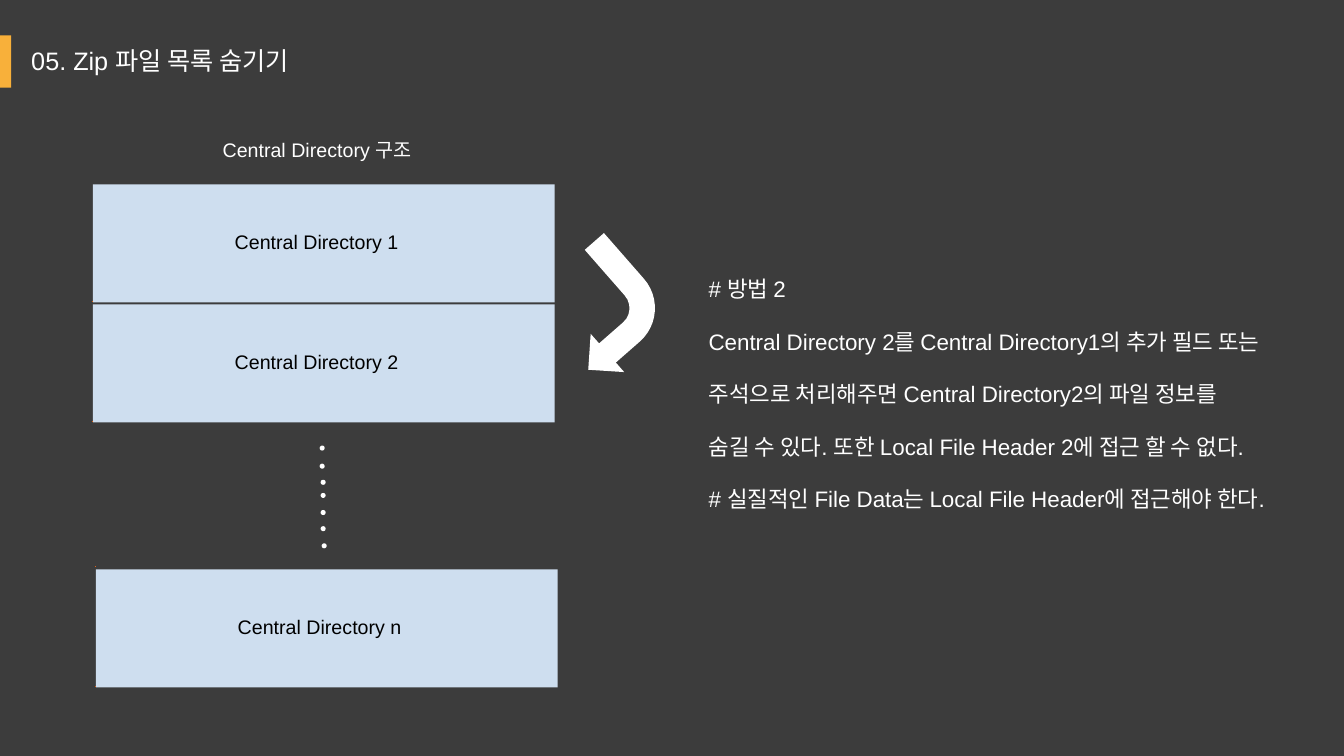
import dataclasses

import pptx
import pptx.dml.color
import pptx.enum.shapes
import pptx.enum.text
import pptx.oxml
import pptx.oxml.ns
import pptx.util

Inches = pptx.util.Inches
SHAPE = pptx.enum.shapes.MSO_SHAPE


@dataclasses.dataclass(frozen=True)
class Theme:
    """Colours, font and type sizes of the slide."""
    background: str = "3C3C3C"
    accent: str = "F8B03A"
    panel: str = "CEDEEF"
    mark: str = "DC641C"
    light: str = "FFFFFF"
    dark: str = "000000"
    font: str = "Arial"
    title: int = 18
    body: int = 16
    label: int = 14


THEME = Theme()
NOTES = [
    "# 방법 2",
    "Central Directory 2를 Central Directory1의 추가 필드 또는",
    "주석으로 처리해주면 Central Directory2의 파일 정보를",
    "숨길 수 있다. 또한 Local File Header 2에 접근 할 수 없다.",
    "# 실질적인 File Data는 Local File Header에 접근해야 한다.",
]
DOTS = [(3.17, 4.42), (3.17, 4.6), (3.18, 4.76), (3.18, 4.89),
        (3.18, 5.06), (3.18, 5.22), (3.19, 5.39)]


def rgb(value):
    """Return a colour object for a hex value."""
    return pptx.dml.color.RGBColor.from_string(value)


def add_shape(s, kind, box, color):
    """Add a plain filled shape in the given box."""
    sp = s.shapes.add_shape(kind, *map(Inches, box))
    sp.shadow.inherit = False
    sp.fill.solid()
    sp.fill.fore_color.rgb = rgb(color)
    sp.line.fill.background()
    return sp


def write(tf, lines, size, color, gap=0):
    """Write left-aligned lines, with a gap in points between them."""
    frame = {"word_wrap": True, "vertical_anchor": pptx.enum.text.MSO_ANCHOR.TOP,
             "auto_size": pptx.enum.text.MSO_AUTO_SIZE.NONE}
    for name, value in frame.items():
        setattr(tf, name, value)
    font = {"name": THEME.font, "size": pptx.util.Pt(size)}
    for i, line in enumerate(lines):
        p = tf.add_paragraph() if i else tf.paragraphs[0]
        p.alignment = pptx.enum.text.PP_ALIGN.LEFT
        p.space_before = pptx.util.Pt(gap if i else 0)
        r = p.add_run()
        r.text = line
        for name, value in font.items():
            setattr(r.font, name, value)
        r.font.color.rgb = rgb(color)


def add_text(s, box, lines, size, color, gap=0):
    """Add a text box in the given box."""
    sp = s.shapes.add_textbox(*map(Inches, box))
    write(sp.text_frame, lines, size, color, gap)


def add_mark(s, x, y):
    """Add a tiny accent stroke that ends at a point."""
    c = s.shapes.add_connector(pptx.enum.shapes.MSO_CONNECTOR.STRAIGHT,
                               *map(Inches, (x, y, x - 0.01, y)))
    c.line.color.rgb = rgb(THEME.mark)
    c.line.width = pptx.util.Pt(0.75)
    c._element.spPr.append(pptx.oxml.parse_xml(
        f"<a:effectLst {pptx.oxml.ns.nsdecls('a')}/>"))


def add_header(s, box):
    """Place the accent bar and the slide title."""
    x, y, w, h = box
    add_shape(s, SHAPE.RECTANGLE, (x, y, 0.11, h), THEME.accent)
    title = s.shapes.title
    place = {"left": x + 0.21, "top": y + 0.05, "width": w - 0.21, "height": 0.4}
    for name, value in place.items():
        setattr(title, name, Inches(value))
    write(title.text_frame, ["05. Zip 파일 목록 숨기기"], THEME.title, THEME.light)


def add_directory(s, box, name, marked):
    """Place one directory block with its label and edge marks."""
    x, y, w, h = box
    add_shape(s, SHAPE.RECTANGLE, box, THEME.panel)
    add_text(s, (x + 1.31, y + 0.4, 4.34, 0.34), [name], THEME.label, THEME.dark)
    if marked:
        add_mark(s, x, y - 0.03)
        add_mark(s, x, y + h - 0.01)


def add_structure(s, box):
    """Place the directory stack, its caption, the dots and the arrow."""
    x, y, w, h = box
    add_text(s, (x + 1.19, y, 4.34, 0.34), ["Central Directory 구조"],
             THEME.label, THEME.light)
    for dx, dy, key in [(0, 0.51, "1"), (0, 1.7, "2"), (0.03, 4.33, "n")]:
        add_directory(s, (x + dx, y + dy, w, 1.17),
                      f"Central Directory {key}", key != "1")
    for left, top in DOTS:
        add_shape(s, SHAPE.OVAL, (left, top, 0.05, 0.05), THEME.light)
    arrow = add_shape(s, SHAPE.BENT_ARROW, (x + w - 0.01, y + 1.18, 1.01, 1.17),
                      THEME.light)
    arrow.rotation = 138.8


def add_notes(s, box):
    """Place the explanation lines."""
    add_text(s, box, NOTES, THEME.body, THEME.light, gap=18.4)


def main():
    """Build and save the slide."""
    prs = pptx.Presentation()
    prs.slide_width, prs.slide_height = Inches(13.33), Inches(7.5)
    s = prs.slides.add_slide(prs.slide_layouts[5])
    s.background.fill.solid()
    s.background.fill.fore_color.rgb = rgb(THEME.background)
    add_header(s, (0, 0.35, 4.62, 0.52))
    add_notes(s, (6.93, 2.68, 6.4, 2.6))
    add_structure(s, (0.92, 1.32, 4.58, 5.5))
    prs.save("out.pptx")


if __name__ == "__main__":
    main()
